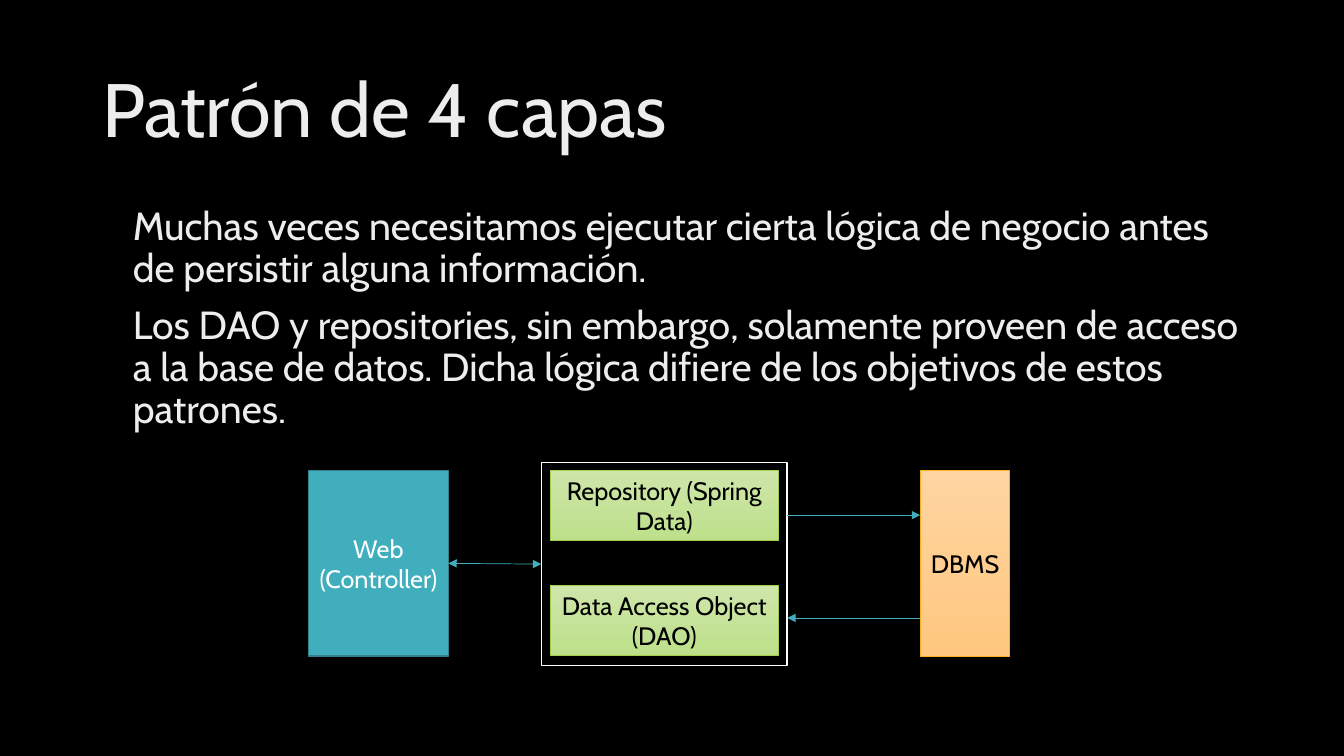
from lxml.etree import SubElement
from pptx import Presentation
from pptx.dml.color import RGBColor
from pptx.enum.shapes import MSO_CONNECTOR as Connector, MSO_SHAPE as Shape
from pptx.enum.text import MSO_ANCHOR as Anchor, PP_ALIGN as Align
from pptx.oxml.ns import qn
from pptx.util import Cm, Pt

LEFT_SIDE, RIGHT_SIDE = 1, 3


def color(value):
    return RGBColor.from_string(value)


class LayersPage:
    font = "Cabin"
    background = "000000"
    light = "EDEDED"
    teal = "41AEBD"

    def __init__(self, deck):
        self.page = deck.slides.add_slide(deck.slide_layouts[6])
        fill = self.page.background.fill
        fill.solid()
        fill.fore_color.rgb = color(self.background)

    def style(self, para, size, text_color):
        for span in para.runs:
            span.font.name = self.font
            span.font.size = Pt(size)
            span.font.color.rgb = color(text_color)

    def text(self, area, paragraphs, size, anchor=Anchor.TOP):
        box = self.page.shapes.add_textbox(*map(Cm, area))
        frame = box.text_frame
        frame.word_wrap = True
        frame.vertical_anchor = anchor
        frame.text = "\n".join(paragraphs)
        for index, para in enumerate(frame.paragraphs):
            para.line_spacing = 0.9
            if index:
                para.space_before = Pt(10)
            self.style(para, size, self.light)

    def block(self, area, line, width, fills=(), label="", text_color="000000"):
        """Rectangle with no fill, one colour or a top-to-bottom gradient."""
        box = self.page.shapes.add_shape(Shape.RECTANGLE, *map(Cm, area))
        box.shadow.inherit = False
        if len(fills) == 2:
            box.fill.gradient()
            box.fill.gradient_angle = 270
            for stop, value in zip(box.fill.gradient_stops, fills):
                stop.color.rgb = color(value)
        elif fills:
            box.fill.solid()
            box.fill.fore_color.rgb = color(fills[0])
        else:
            box.fill.background()
        box.line.color.rgb = color(line)
        box.line.width = Pt(width)
        if label:
            frame = box.text_frame
            frame.word_wrap = True
            frame.vertical_anchor = Anchor.MIDDLE
            frame.text = label
            para = frame.paragraphs[0]
            para.alignment = Align.CENTER
            self.style(para, 18, text_color)
        return box

    def arrow(self, start, end, heads=("tailEnd",)):
        connector = self.page.shapes.add_connector(
            Connector.STRAIGHT, *map(Cm, start + end))
        connector.line.color.rgb = color(self.teal)
        connector.line.width = Pt(0.5)
        outline = connector.line._get_or_add_ln()
        for head in heads:
            SubElement(outline, qn(f"a:{head}"), type="triangle")
        SubElement(connector._element.spPr, qn("a:effectLst"))
        return connector


def main():
    deck = Presentation()
    deck.slide_width, deck.slide_height = Cm(33.87), Cm(19.05)
    layers = LayersPage(deck)

    layers.text((2.34, 1.02, 29.21, 3.68), ["Patrón de 4 capas"], 54, Anchor.MIDDLE)
    layers.text((3.1, 5.08, 28.42, 6.43), [
        "Muchas veces necesitamos ejecutar cierta lógica de negocio antes "
        "de persistir alguna información.",
        "Los DAO y repositories, sin embargo, solamente proveen de acceso a la "
        "base de datos. Dicha lógica difiere de los objetivos de estos patrones.",
    ], 28)

    top, height = 11.86, 4.67
    web = layers.block((7.77, top, 3.53, height), "30818C", 1, (layers.teal,),
                       "Web (Controller)", "FFFFFF")
    for y, label in ((top, "Repository (Spring Data)"),
                     (14.76, "Data Access Object (DAO)")):
        layers.block((13.87, y, 5.74, 1.75), "A2CF49", 0.5,
                     ("CEE6AA", "BEE08A"), label)
    database_left = 23.19
    layers.block((database_left, top, 2.26, height), "FCB11C", 0.5,
                 ("FFD5A1", "FFC77F"), "DBMS")
    access_left, access_width = 13.64, 6.2
    access = layers.block((access_left, 11.66, access_width, 5.11), "FFFFFF", 1)

    access_right = access_left + access_width
    layers.arrow((access_right, 12.98), (database_left, 12.98))
    layers.arrow((database_left, 15.57), (access_right, 15.57))
    both_ways = layers.arrow((11.3, 14.2), (access_left, 14.2),
                             ("headEnd", "tailEnd"))
    both_ways.begin_connect(web, RIGHT_SIDE)
    both_ways.end_connect(access, LEFT_SIDE)

    deck.save("out.pptx")


if __name__ == "__main__":
    main()
